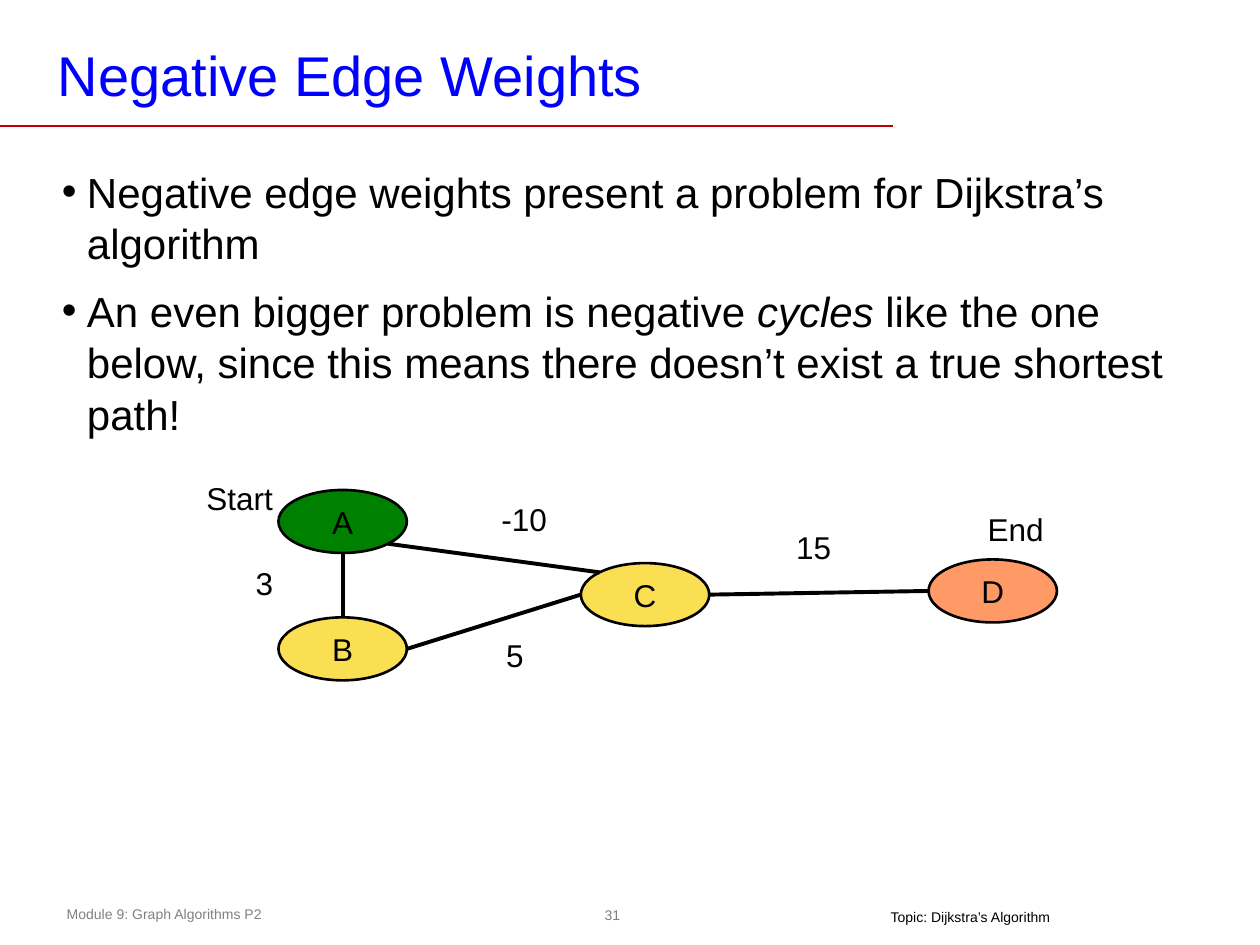
import math

from lxml import etree
from pptx import Presentation
from pptx import util as u
from pptx.dml.color import RGBColor
from pptx.enum import shapes, text
from pptx.oxml.ns import qn

Pt = u.Pt
FONT = "Arial"
BLACK, GRAY, BLUE, RED = "000000", "808080", "0000FF", "C00000"
GREEN, YELLOW, ORANGE = "008000", "FBDF53", "FF9966"
NODE_WIDTH, NODE_HEIGHT = 73.4, 36

# Name: (left, top, fill)
NODES = {
    "D": (530.6, 319.7, ORANGE),
    "A": (159.1, 280, GREEN),
    "B": (159.1, 352.8, YELLOW),
    "C": (331.9, 321.8, YELLOW),
}
# Start node, angle on its rim, end node, angle on its rim (clockwise from right)
EDGES = [
    ("C", 225, "A", 45),
    ("B", 270, "A", 90),
    ("D", 180, "C", 0),
    ("C", 180, "B", 0),
]
# Text, left, top, width
LABELS = [
    ("-10", 279.4, 282.2, 41),
    ("5", 282.2, 360, 24.5),
    ("15", 447.8, 298.1, 34.6),
    ("3", 139, 319, 24.5),
    ("Start", 110.9, 270, 52.6),
    ("End", 557.3, 288, 46.8),
]


def color(value):
    return RGBColor.from_string(value)


def place(shape, left, top, width, height):
    shape.left, shape.top = Pt(left), Pt(top)
    shape.width, shape.height = Pt(width), Pt(height)


def set_font(para, size, value):
    para.font.name = FONT
    para.font.size = Pt(size)
    para.font.color.rgb = color(value)


def set_margins(frame, left, top, right, bottom):
    frame.margin_left, frame.margin_top = Pt(left), Pt(top)
    frame.margin_right, frame.margin_bottom = Pt(right), Pt(bottom)


def add_label(page, words, left, top, width, height, size=18, value=BLACK):
    box = page.shapes.add_textbox(Pt(left), Pt(top), Pt(width), Pt(height))
    frame = box.text_frame
    frame.word_wrap = False
    frame.text = words
    set_font(frame.paragraphs[0], size, value)
    return frame


def add_line(page, start, end, value, weight):
    line = page.shapes.add_connector(
        shapes.MSO_CONNECTOR.STRAIGHT, *(Pt(length) for length in (*start, *end)))
    line.line.color.rgb = color(value)
    line.line.width = Pt(weight)
    etree.SubElement(line._element.spPr, qn("a:effectLst"))


def add_node(page, name):
    left, top, fill = NODES[name]
    node = page.shapes.add_shape(shapes.MSO_SHAPE.OVAL, Pt(left), Pt(top),
                                 Pt(NODE_WIDTH), Pt(NODE_HEIGHT))
    node.shadow.inherit = False
    node.fill.solid()
    node.fill.fore_color.rgb = color(fill)
    node.line.color.rgb = color(BLACK)
    node.line.width = Pt(1.5)
    frame = node.text_frame
    frame.word_wrap = False
    frame.vertical_anchor = text.MSO_ANCHOR.MIDDLE
    frame.text = name
    para = frame.paragraphs[0]
    para.alignment = text.PP_ALIGN.CENTER
    set_font(para, 18, BLACK)


def rim_point(name, angle):
    left, top, _ = NODES[name]
    turn = math.radians(angle)
    return (left + NODE_WIDTH / 2 * (1 + math.cos(turn)),
            top + NODE_HEIGHT / 2 * (1 + math.sin(turn)))


def fill_title(title, words):
    place(title, 28.1, 20.2, 534.2, 43.2)
    frame = title.text_frame
    frame.auto_size = text.MSO_AUTO_SIZE.NONE
    frame.vertical_anchor = text.MSO_ANCHOR.BOTTOM
    set_margins(frame, 5, 2, 5, 2)
    frame.text = words
    para = frame.paragraphs[0]
    para.alignment = text.PP_ALIGN.LEFT
    set_font(para, 32, BLUE)


def fill_body(body, items):
    """Write bullets; each item is a list of (words, italic) pairs."""
    place(body, 28.1, 90.7, 670.3, 394.6)
    frame = body.text_frame
    frame.auto_size = text.MSO_AUTO_SIZE.NONE
    for index, item in enumerate(items):
        para = frame.add_paragraph() if index else frame.paragraphs[0]
        set_font(para, 24, BLACK)
        para.line_spacing = 1.02
        para.space_before = Pt(9.4)
        properties = para._p.get_or_add_pPr()
        properties.set("marL", str(Pt(14.4)))
        properties.set("indent", str(Pt(-14.4)))
        bullet = etree.Element(qn("a:buChar"), char="•")
        properties.find(qn("a:defRPr")).addprevious(bullet)
        for words, italic in item:
            span = para.add_run()
            span.text = words
            if italic:
                span.font.italic = True


def add_footer(page):
    number = add_label(page, "31", 341.3, 513.4, 17.3, 18.7, 8, GRAY)
    number.vertical_anchor = text.MSO_ANCHOR.MIDDLE
    number.paragraphs[0].alignment = text.PP_ALIGN.CENTER
    set_margins(number, 3, 3, 3, 3)
    add_label(page, "Module 9: Graph Algorithms P2", 31, 514.1, 262.1, 17.3, 8, GRAY)
    topic = add_label(page, "Topic: Dijkstra’s Algorithm", 501.8, 519.1, 106.6, 12.2, 8)
    set_margins(topic, 7.2, 0, 7.2, 3)


def add_graph(page):
    for name in NODES:
        add_node(page, name)
    for start, start_angle, end, end_angle in EDGES:
        add_line(page, rim_point(start, start_angle), rim_point(end, end_angle),
                 BLACK, 2.25)
    for words, left, top, width in LABELS:
        add_label(page, words, left, top, width, 28.8)


def main():
    deck = Presentation()
    deck.slide_width, deck.slide_height = Pt(720), Pt(540)
    page = deck.slides.add_slide(deck.slide_layouts[1])
    fill_title(page.shapes.title, "Negative Edge Weights")
    fill_body(page.placeholders[1], [
        [("Negative edge weights present a problem for Dijkstra’s algorithm", False)],
        [("An even bigger problem is negative ", False),
         ("cycles", True),
         (" like the one below, since this means there doesn’t exist"
          " a true shortest path!", False)],
    ])
    add_line(page, (0, 72), (510.5, 72), RED, 1)
    add_graph(page)
    add_footer(page)
    deck.save("out.pptx")


if __name__ == "__main__":
    main()
